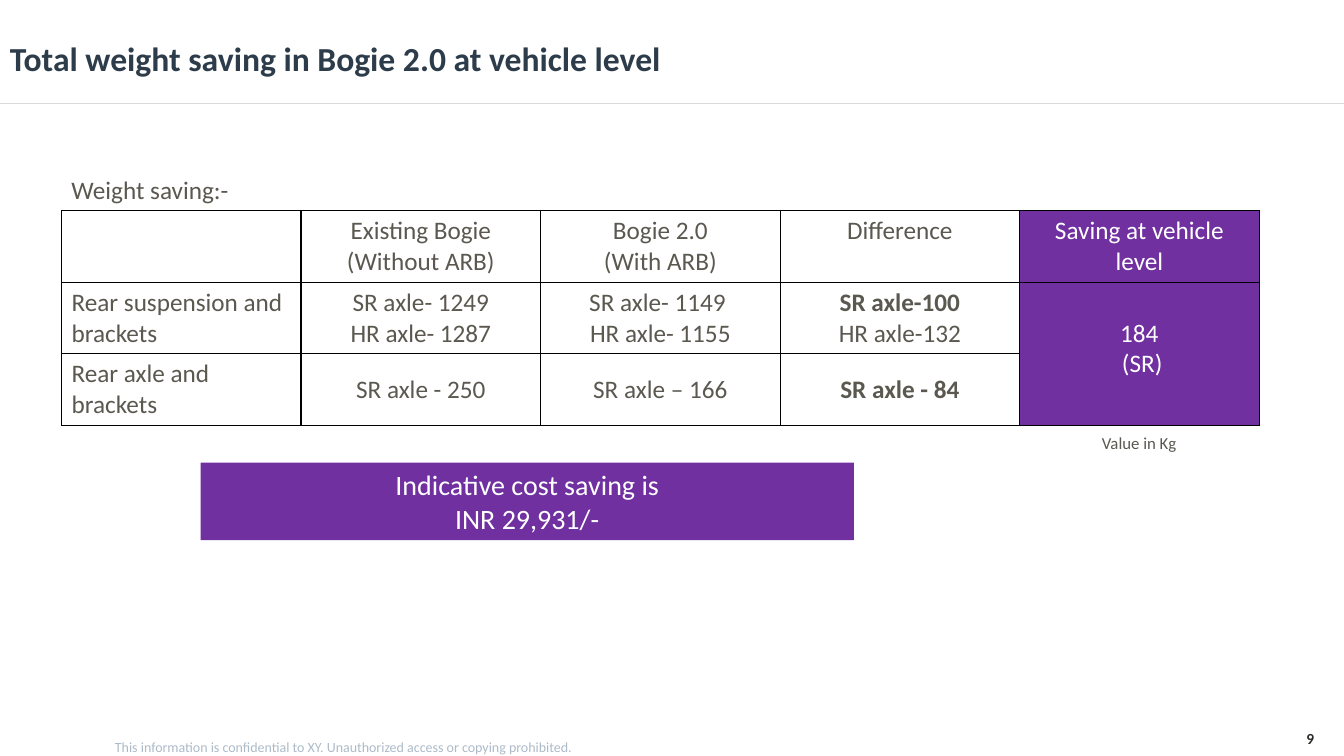
from lxml import etree
from pptx import Presentation
from pptx import util as u
from pptx.dml.color import RGBColor
from pptx.enum import shapes, text
from pptx.oxml import ns

INK, NAVY, PLUM, WHITE = "5B5850", "2D3C4A", "7030A0", "FFFFFF"
LEFT, MID = text.PP_ALIGN.LEFT, text.PP_ALIGN.CENTER
TOP, CORE = text.MSO_ANCHOR.TOP, text.MSO_ANCHOR.MIDDLE


def tint(code):
    return RGBColor.from_string(code)


def edge(cell):
    """Give a cell a thin black border on all four sides."""
    props = cell._tc.get_or_add_tcPr()
    for side in ("lnL", "lnR", "lnT", "lnB"):
        line = etree.SubElement(props, ns.qn("a:" + side), w=str(u.Pt(1)))
        fill = etree.SubElement(line, ns.qn("a:solidFill"))
        etree.SubElement(fill, ns.qn("a:srgbClr"), val="000000")


class Page:
    """Style and slide; places are percentages of the slide's size."""

    def __init__(self, deck):
        self.font = "Calibri"
        self.wide, self.high = deck.slide_width, deck.slide_height
        self.slide = deck.slides.add_slide(deck.slide_layouts[6])
        self.items = self.slide.shapes

    def at(self, x, y, w, h):
        return [int(part * full / 100) for part, full in
                zip((x, y, w, h), (self.wide, self.high) * 2)]

    def words(self, frame, lines, size, color, align=LEFT, bold=()):
        """Add one paragraph per line; bold holds the bold line numbers."""
        for i, line in enumerate(lines):
            para = frame.paragraphs[0] if i == 0 else frame.add_paragraph()
            para.alignment = align
            run = para.add_run()
            run.text = line
            run.font.name, run.font.size = self.font, u.Pt(size)
            run.font.bold = i in bold
            run.font.color.rgb = tint(color)

    def label(self, box, line, size, color, align=LEFT, bold=(),
              anchor=TOP, wrap=True, pad=(0.1, 0.05)):
        frame = self.items.add_textbox(*self.at(*box)).text_frame
        frame.word_wrap, frame.vertical_anchor = wrap, anchor
        frame.margin_left = frame.margin_right = u.Inches(pad[0])
        frame.margin_top = frame.margin_bottom = u.Inches(pad[1])
        self.words(frame, [line], size, color, align, bold)

    def rule(self, y, color):
        x, top, w, _ = self.at(0, y, 100, 0)
        line = self.items.add_connector(
            shapes.MSO_CONNECTOR.STRAIGHT, x, top, x + w, top)
        line.line.color.rgb, line.line.width = tint(color), u.Pt(0.75)
        etree.SubElement(line._element.spPr, ns.qn("a:effectLst"))

    def banner(self, box, lines, size):
        bar = self.items.add_shape(shapes.MSO_SHAPE.RECTANGLE, *self.at(*box))
        bar.shadow.inherit = False
        bar.fill.solid()
        bar.fill.fore_color.rgb = tint(PLUM)
        bar.line.fill.background()
        bar.text_frame.word_wrap = True
        self.words(bar.text_frame, lines, size, WHITE, MID)

    def table(self, box, rows, bold):
        """Draw the rows; the last column is filled, and merged below row 0."""
        last = len(rows[0]) - 1
        grid = self.items.add_table(
            len(rows), last + 1, *self.at(*box)).table
        grid.first_row = grid.horz_banding = False
        for r, row in enumerate(rows):
            for c, lines in enumerate(row):
                cell = grid.cell(r, c)
                edge(cell)
                if c == last:
                    cell.fill.solid()
                    cell.fill.fore_color.rgb = tint(PLUM)
                else:
                    cell.fill.background()
                cell.vertical_anchor = CORE if r and c else TOP
                self.words(cell.text_frame, lines, 18,
                           WHITE if c == last else INK,
                           MID if c else LEFT, bold.get((r, c), ()))
        block = grid.cell(1, last)
        block.merge(grid.cell(len(rows) - 1, last))
        block.margin_bottom = u.Inches(0.15)


def main():
    deck = Presentation()
    deck.slide_width, deck.slide_height = u.Inches(13.33), u.Inches(7.5)
    page = Page(deck)
    page.label((8.55, 97.73, 60, 2.27),
               "This information is confidential to XY. "
               "Unauthorized access or copying prohibited.",
               10, "ADBBC9", pad=(0, 0))
    page.label((95.12, 95.87, 4.73, 4.13), "9", 11, "2E2C28", MID, (0,),
               pad=(0.07, 0.04))
    page.rule(13.73, "D9D9D9")
    page.label((0, 1.6, 69.32, 12.13),
               "Total weight saving in Bogie 2.0 at vehicle level",
               24, NAVY, bold=(0,), anchor=CORE)
    rows = [
        [[], ["Existing Bogie", "(Without ARB)"], ["Bogie 2.0", "(With ARB)"],
         ["Difference"], ["Saving at vehicle level"]],
        [["Rear suspension and brackets"],
         ["SR axle- 1249", "HR axle- 1287"],
         ["SR axle- 1149 ", "HR axle- 1155"],
         ["SR axle-100", "HR axle-132"], ["184", " (SR)"]],
        [["Rear axle and brackets"], ["SR axle - 250"], ["SR axle – 166"],
         ["SR axle - 84"], []],
    ]
    page.table((4.58, 27.87, 89.12, 28.4), rows, {(1, 3): (0,), (2, 3): (0,)})
    page.label((4.58, 22.4, 13.35, 5.33), "Weight saving:-", 18, INK,
               wrap=False)
    page.label((81.25, 56.53, 7.13, 4), "Value in Kg", 12, INK, wrap=False)
    page.banner((14.93, 61.2, 48.61, 10.27),
                ["Indicative cost saving is", "INR 29,931/-"], 20)
    deck.save("out.pptx")


if __name__ == "__main__":
    main()
